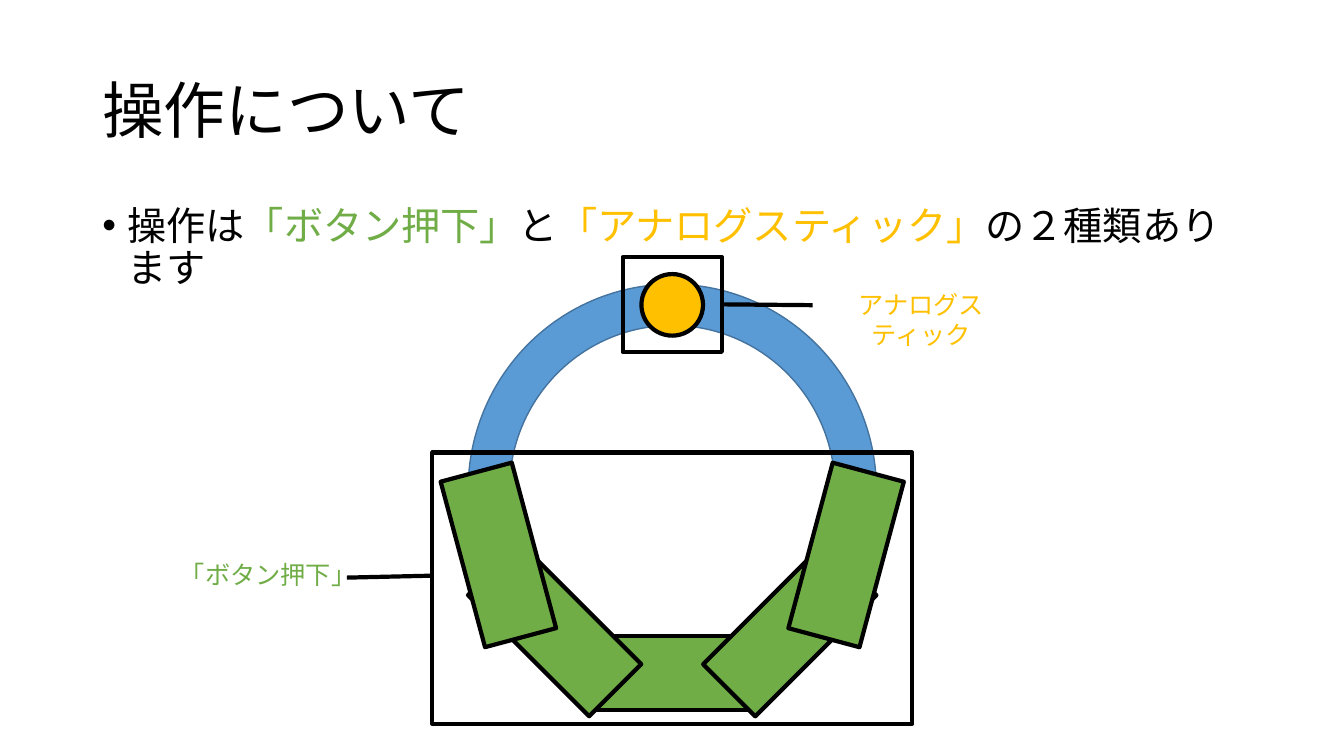
from lxml.etree import SubElement
from pptx import Presentation
from pptx.dml.color import RGBColor
from pptx.enum.shapes import MSO_CONNECTOR as CONN, MSO_SHAPE as SHAPE
from pptx.enum.text import MSO_ANCHOR as ANCHOR, PP_ALIGN as ALIGN
from pptx.oxml.ns import qn
from pptx.util import Pt

BLACK = RGBColor(0x00, 0x00, 0x00)
GREEN = RGBColor(0x70, 0xAD, 0x47)
AMBER = RGBColor(0xFF, 0xC0, 0x00)
BLUE = RGBColor(0x5B, 0x9B, 0xD5)
BLUE_EDGE = RGBColor(0x43, 0x73, 0x9E)
FONT = "Calibri"


def add_shape(s, kind, box, fill=None, line=BLACK, width=3):
    sp = s.shapes.add_shape(kind, *map(Pt, box))
    sp.shadow.inherit = False
    if fill is None:
        sp.fill.background()
    else:
        sp.fill.solid()
        sp.fill.fore_color.rgb = fill
    sp.line.color.rgb = line
    sp.line.width = Pt(width)
    return sp


def add_line(s, x1, y1, x2, y2):
    cn = s.shapes.add_connector(CONN.STRAIGHT, Pt(x1), Pt(y1), Pt(x2), Pt(y2))
    cn.line.color.rgb = BLACK
    cn.line.width = Pt(3)
    SubElement(cn._element.spPr, qn("a:effectLst"))


def add_text(s, box, runs, size):
    tf = s.shapes.add_textbox(*map(Pt, box)).text_frame
    tf.word_wrap = True
    p = tf.paragraphs[0]
    for text, color in runs:
        r = p.add_run()
        r.text = text
        r.font.name = FONT
        r.font.size = Pt(size)
        r.font.color.rgb = color
    return tf


def add_title(s, box):
    tf = add_text(s, box, [("操作について", BLACK)], 44)
    tf.vertical_anchor = ANCHOR.MIDDLE
    tf.paragraphs[0].line_spacing = 0.9


def add_body(s, box):
    runs = [("操作は", BLACK), ("「ボタン押下」", GREEN), ("と", BLACK),
            ("「アナログスティック」", AMBER), ("の２種類あります", BLACK)]
    p = add_text(s, box, runs, 28).paragraphs[0]
    p.line_spacing = 0.9
    p.space_before = Pt(10)
    # Bullet with hanging indent
    pPr = p._p.get_or_add_pPr()
    pPr.set("marL", str(Pt(18)))
    pPr.set("indent", str(Pt(-18)))
    SubElement(pPr, qn("a:buFont"), typeface="Arial")
    SubElement(pPr, qn("a:buChar"), char="•")


def add_label(s, box, text, color):
    tf = add_text(s, box, [(text, color)], 18)
    tf.paragraphs[0].alignment = ALIGN.CENTER


def add_controller(s, box):
    left, top, width, height = box
    mid, bottom = left + width / 2, top + height

    # Ring
    ring = add_shape(s, SHAPE.DONUT, box, BLUE, BLUE_EDGE, 1)
    ring.adjustments[0] = 0.101

    # Buttons, mirrored about the ring's axis: x offset, rise, angle
    w, h = 122.4, 52.6
    for dx, rise, angle in [(0, 16, 0), (-84, 47, 45), (84, 47, -45),
                            (-124.2, 100.4, 75), (124.2, 100.4, -75)]:
        button = (mid + dx - w / 2, bottom - rise - h / 2, w, h)
        add_shape(s, SHAPE.RECTANGLE, button, GREEN).rotation = angle

    # Analog stick and its frame
    d = 44
    add_shape(s, SHAPE.OVAL, (mid - d / 2, top - 7.2, d, d), AMBER)
    frame_w, frame_h = 70.8, 67.8
    add_shape(s, SHAPE.RECTANGLE,
              (mid - frame_w / 2, top - 19.4, frame_w, frame_h))
    stick_x = mid + frame_w / 2
    add_line(s, stick_x, top + 14.4, stick_x + 64.8, top + 15)
    add_label(s, (stick_x + 64.8, top, 155.5, 29), "アナログスティック", AMBER)

    # Frame around the buttons
    frame_w, frame_h = 342.8, 193.8
    frame_x, frame_y = mid - frame_w / 2, top + 120.2
    add_shape(s, SHAPE.RECTANGLE, (frame_x, frame_y, frame_w, frame_h))
    add_line(s, frame_x, frame_y + 88, frame_x - 61, frame_y + 89.4)
    add_label(s, (frame_x - 195, frame_y + 72.6, 155.5, 29),
              "「ボタン押下」", GREEN)


def main():
    prs = Presentation()
    prs.slide_width, prs.slide_height = Pt(960), Pt(540)
    s = prs.slides.add_slide(prs.slide_layouts[6])
    add_title(s, (66, 28.8, 828, 104.4))
    add_body(s, (66, 144, 828, 342.8))
    add_controller(s, (334.4, 203, 291.6, 293.8))
    prs.save("out.pptx")


if __name__ == "__main__":
    main()
